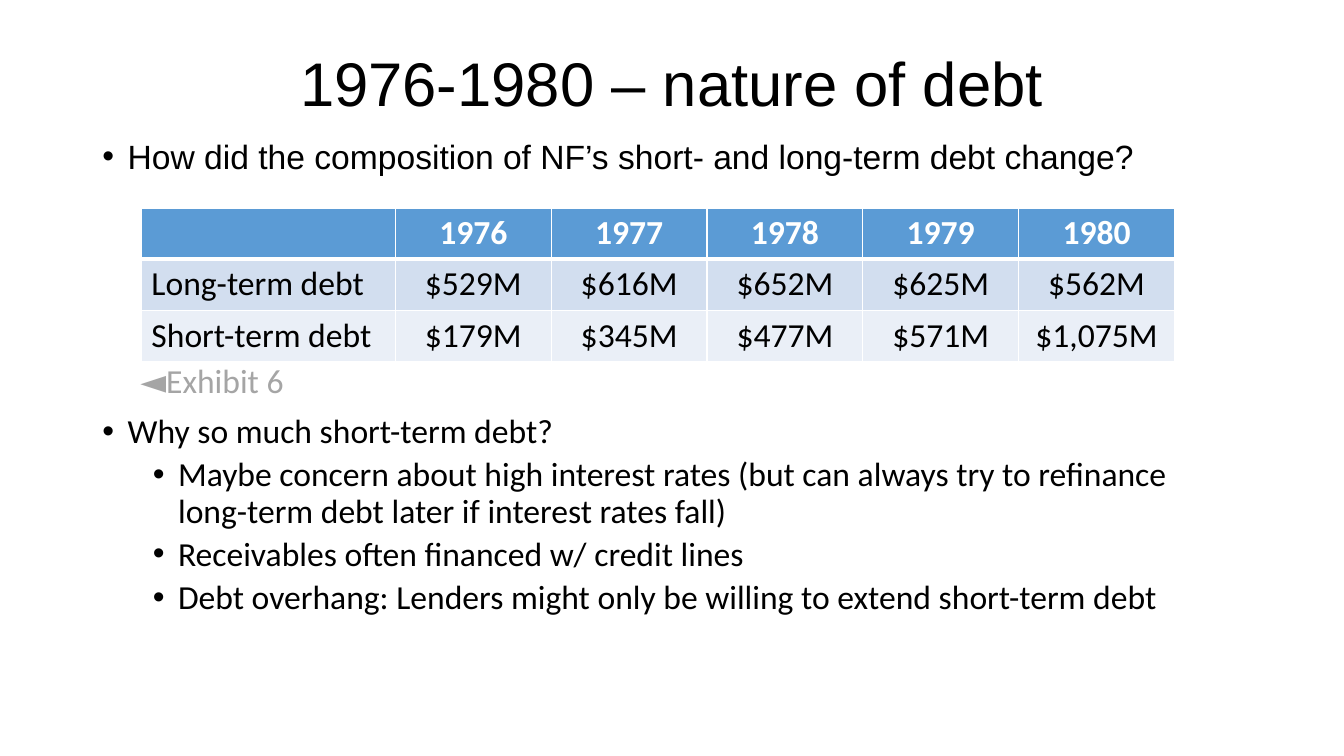
from dataclasses import dataclass

import pptx
import pptx.dml.color
import pptx.enum.text
import pptx.oxml
import pptx.oxml.ns
import pptx.util

Pt = pptx.util.Pt
ALIGN = pptx.enum.text.PP_ALIGN
ANCHOR = pptx.enum.text.MSO_ANCHOR

COLORS = {
    "text": "000000",
    "white": "FFFFFF",
    "header": "5B9BD5",
    "long_term": "D2DEEF",
    "short_term": "EAEFF7",
    "exhibit": "A5A5A5",
}
TEXT_SIZE = 24
LEFT, WIDTH = 66, 828
YEARS = ["1976", "1977", "1978", "1979", "1980"]
LABEL_WIDTH, YEAR_WIDTH, ROW_HEIGHT = 181.5, 111.3, 36


@dataclass
class Line:
    """A paragraph of a body placeholder."""
    text: str
    font: str = "Calibri"
    color: str = "text"
    level: int = 0
    margin: float = 18
    bullet: bool = True


@dataclass
class DebtRow:
    """A table row with a label and one entry for each year."""
    label: str
    entries: list[str]
    fill: str
    color: str = "text"
    bold: bool = False
    top: float = 1
    bottom: float = 1


QUESTION = [Line("How did the composition of NF’s short- and long-term debt change?", font="Arial")]
REASONS = [
    Line("◄Exhibit 6", color="exhibit", margin=27, bullet=False),
    Line("Why so much short-term debt?"),
    *(Line(reason, level=1, margin=54) for reason in (
        "Maybe concern about high interest rates (but can always try to refinance "
        "long-term debt later if interest rates fall)",
        "Receivables often financed w/ credit lines",
        "Debt overhang: Lenders might only be willing to extend short-term debt",
    )),
]
DEBT = [
    DebtRow("", YEARS, "header", "white", bold=True, bottom=3),
    DebtRow("Long-term debt", ["$529M", "$616M", "$652M", "$625M", "$562M"], "long_term", top=3),
    DebtRow("Short-term debt", ["$179M", "$345M", "$477M", "$571M", "$1,075M"], "short_term"),
]


def rgb(name: str) -> pptx.dml.color.RGBColor:
    """Look up a colour by name."""
    return pptx.dml.color.RGBColor.from_string(COLORS[name])


def apply(target, formats: dict) -> None:
    """Set each format value on the target."""
    for attribute, value in formats.items():
        setattr(target, attribute, value)


def write(paragraph, text: str, font: str, size: float, color: str, bold: bool = False) -> None:
    """Add a formatted run to a paragraph."""
    run = paragraph.add_run()
    run.text = text
    apply(run.font, {"name": font, "size": Pt(size), "bold": bold})
    run.font.color.rgb = rgb(color)


def place(holder, top: float, height: float, anchor: ANCHOR) -> None:
    """Move a placeholder and set up its text frame."""
    apply(holder, {"left": Pt(LEFT), "top": Pt(top), "width": Pt(WIDTH), "height": Pt(height)})
    apply(holder.text_frame, {
        "word_wrap": True,
        "auto_size": pptx.enum.text.MSO_AUTO_SIZE.NONE,
        "vertical_anchor": anchor,
    })


def add_xml(parent, xml: str) -> None:
    """Append a drawing element written without its namespace."""
    tag_end = min(xml.index(mark) for mark in " />" if mark in xml)
    namespace = pptx.oxml.ns.nsdecls("a")
    parent.append(pptx.oxml.parse_xml(f"{xml[:tag_end]} {namespace}{xml[tag_end:]}"))


def fill_list(holder, lines: list[Line]) -> None:
    """Write the lines of a list into a body placeholder."""
    frame = holder.text_frame
    for number, line in enumerate(lines):
        paragraph = frame.add_paragraph() if number else frame.paragraphs[0]
        apply(paragraph, {
            "level": line.level,
            "alignment": ALIGN.LEFT,
            "line_spacing": 0.9,
            "space_before": Pt(5 if line.level else 10),
        })
        properties = paragraph._p.get_or_add_pPr()
        properties.set("marL", str(Pt(line.margin)))
        properties.set("indent", str(Pt(-18 if line.bullet else 0)))
        if line.bullet:
            add_xml(properties, '<a:buFont typeface="Arial"/>')
            add_xml(properties, '<a:buChar char="•"/>')
        else:
            add_xml(properties, "<a:buNone/>")
        write(paragraph, line.text, line.font, TEXT_SIZE, line.color)


def format_cell(cell, row: DebtRow) -> None:
    """Give a cell its borders and fill."""
    properties = cell._tc.get_or_add_tcPr()
    for side, width in {"L": 1, "R": 1, "T": row.top, "B": row.bottom}.items():
        add_xml(properties, f'<a:ln{side} w="{Pt(width)}"><a:solidFill>'
                            f'<a:srgbClr val="{COLORS["white"]}"/></a:solidFill></a:ln{side}>')
    cell.fill.solid()
    cell.fill.fore_color.rgb = rgb(row.fill)


def add_debt_table(slide, left: float, top: float) -> None:
    """Draw the table of debt by year."""
    widths = [LABEL_WIDTH] + [YEAR_WIDTH] * len(YEARS)
    table = slide.shapes.add_table(
        len(DEBT), len(widths), Pt(left), Pt(top), Pt(sum(widths)), Pt(ROW_HEIGHT * len(DEBT))
    ).table
    apply(table, {"first_row": False, "horz_banding": False})
    for column, width in zip(table.columns, widths):
        column.width = Pt(width)
    for table_row, row in zip(table.rows, DEBT):
        table_row.height = Pt(ROW_HEIGHT)
        for number, (cell, text) in enumerate(zip(table_row.cells, [row.label, *row.entries])):
            format_cell(cell, row)
            paragraph = cell.text_frame.paragraphs[0]
            paragraph.alignment = ALIGN.CENTER if number else ALIGN.LEFT
            if text:
                write(paragraph, text, "Calibri", TEXT_SIZE, row.color, row.bold)


deck = pptx.Presentation()
apply(deck, {"slide_width": Pt(960), "slide_height": Pt(540)})
slide = deck.slides.add_slide(deck.slide_layouts.get_by_name("Two Content"))
title, question, reasons = slide.placeholders

place(title, 28.8, 65.5, ANCHOR.MIDDLE)
heading = title.text_frame.paragraphs[0]
apply(heading, {"alignment": ALIGN.CENTER, "line_spacing": 0.9})
write(heading, "1976-1980 – nature of debt", "Arial", 44, "text")

place(question, 96.5, 38, ANCHOR.TOP)
fill_list(question, QUESTION)
add_debt_table(slide, 101, 148.5)
place(reasons, 256.5, 217.5, ANCHOR.TOP)
fill_list(reasons, REASONS)

deck.save("out.pptx")
